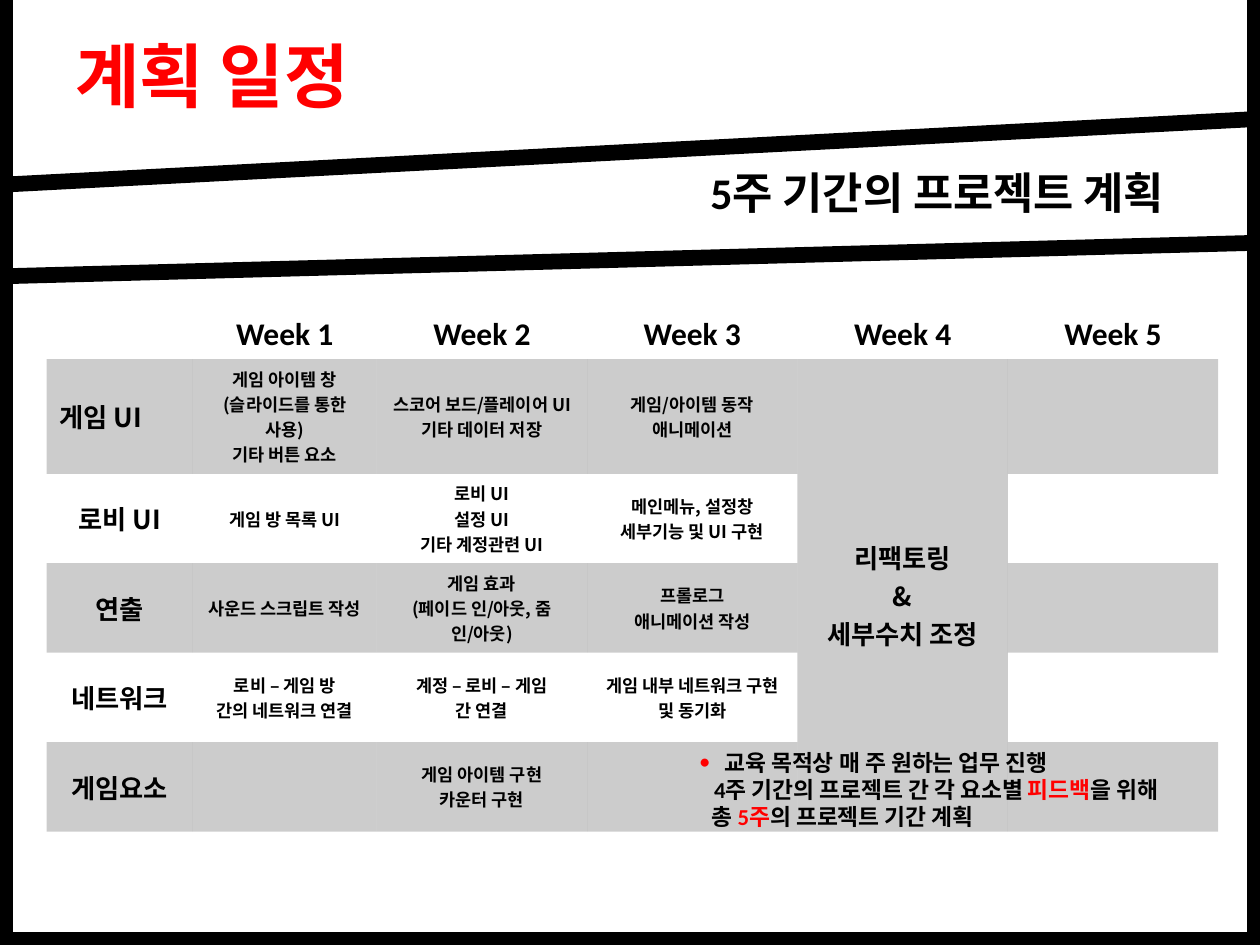
from lxml import etree
from pptx import Presentation
from pptx.dml.color import RGBColor
from pptx.enum.shapes import MSO_CONNECTOR, MSO_SHAPE
from pptx.enum.text import MSO_ANCHOR, MSO_AUTO_SIZE, PP_ALIGN
from pptx.oxml.ns import qn
from pptx.util import Inches, Pt

STRAIGHT = MSO_CONNECTOR.STRAIGHT
RECTANGLE = MSO_SHAPE.RECTANGLE
MIDDLE = MSO_ANCHOR.MIDDLE
FIT_SHAPE = MSO_AUTO_SIZE.SHAPE_TO_FIT_TEXT
LEFT, CENTER = PP_ALIGN.LEFT, PP_ALIGN.CENTER

BLACK, RED = "000000", "FF0000"
NO_GRID_STYLE = "{2D5ABB26-0587-4C30-8999-92F81FD0307C}"

# Content
TITLE = "계획 일정"
SUBTITLE = "5주 기간의 프로젝트 계획"
SCHEDULE = [
    ["", "Week 1", "Week 2", "Week 3", "Week 4", "Week 5"],
    ["게임 UI", "게임 아이템 창\n(슬라이드를 통한 사용)\n기타 버튼 요소",
     "스코어 보드/플레이어 UI\n기타 데이터 저장", "게임/아이템 동작 애니메이션",
     "리팩토링\n&\n세부수치 조정", ""],
    ["로비 UI", "게임 방 목록 UI", "로비 UI\n설정 UI\n기타 계정관련 UI",
     "메인메뉴, 설정창 세부기능 및 UI 구현", "", ""],
    ["연출", "사운드 스크립트 작성", "게임 효과\n(페이드 인/아웃, 줌 인/아웃)",
     "프롤로그\n애니메이션 작성", "", ""],
    ["네트워크", "로비 – 게임 방\n간의 네트워크 연결", "계정 – 로비 – 게임\n간 연결",
     "게임 내부 네트워크 구현 및 동기화", "", ""],
    ["게임요소", "", "게임 아이템 구현\n카운터 구현", "", "", ""],
]
COLUMN_WIDTHS = [1.16, 1.46] + [1.67] * 4
ROW_HEIGHTS = [0.4, 0.91] + [0.71] * 4
REFACTORING_COLUMN = 4

# Each note: left indent, bulleted, (text, colour) runs
NOTES = [
    (0.2, True, [("교육 목적상 매 주 원하는 업무 진행", BLACK)]),
    (0.12, False, [("4주 기간의 프로젝트 간 각 요소별 ", BLACK), ("피드백", RED), ("을 위해", BLACK)]),
    (0.1, False, [("총 ", BLACK), ("5주", RED), ("의 프로젝트 기간 계획", BLACK)]),
]

# Left, top, right, bottom of the slanted bands
BANDS = [(-0.25, 1.48, 10.25, 0.93), (-0.25, 2.2, 10.25, 1.92)]


def rgb(color):
    return RGBColor.from_string(color)


def style_font(font, name, size, color=None):
    font.name, font.size, font.bold = name, Pt(size), True
    if color:
        font.color.rgb = rgb(color)


def add_text_frame(slide, left, top, width, height):
    box = slide.shapes.add_textbox(Inches(left), Inches(top), Inches(width), Inches(height))
    frame = box.text_frame
    frame.word_wrap = False
    frame.auto_size = FIT_SHAPE
    return frame


def add_heading(slide, text, position, font_name, size, color):
    paragraph = add_text_frame(slide, *position).paragraphs[0]
    paragraph.text = text
    style_font(paragraph.font, font_name, size, color)


def add_band(slide, left, top, right, bottom):
    band = slide.shapes.add_connector(
        STRAIGHT, Inches(left), Inches(top), Inches(right), Inches(bottom))
    band.line.color.rgb = rgb(BLACK)
    band.line.width = Pt(9)
    etree.SubElement(band._element.spPr, qn("a:effectLst"))


def shade(cell):
    cell.fill.solid()
    cell.fill.fore_color.rgb = rgb(BLACK)
    color = cell._tc.tcPr.find(".//" + qn("a:srgbClr"))
    etree.SubElement(color, qn("a:alpha")).set("val", "20000")


def cell_font(row, column):
    if row == 0:
        return "Calibri", 18
    return "Noto Sans CJK KR", 15 if column in (0, REFACTORING_COLUMN) else 10


def add_schedule(slide):
    table = slide.shapes.add_table(
        len(ROW_HEIGHTS), len(COLUMN_WIDTHS), Inches(0.37), Inches(2.45),
        Inches(sum(COLUMN_WIDTHS)), Inches(sum(ROW_HEIGHTS))).table
    table.first_row = table.horz_banding = False
    table._tbl.tblPr.find(qn("a:tableStyleId")).text = NO_GRID_STYLE
    for column, width in zip(table.columns, COLUMN_WIDTHS):
        column.width = Inches(width)
    for row, height in zip(table.rows, ROW_HEIGHTS):
        row.height = Inches(height)
    table.cell(1, REFACTORING_COLUMN).merge(table.cell(5, REFACTORING_COLUMN))

    for row, texts in enumerate(SCHEDULE):
        for column, text in enumerate(texts):
            cell = table.cell(row, column)
            if cell.is_spanned:
                continue
            cell.vertical_anchor = MIDDLE
            if row % 2:
                shade(cell)
            else:
                cell.fill.background()
            if not text:
                continue
            cell.text = text
            for paragraph in cell.text_frame.paragraphs:
                paragraph.alignment = LEFT if (row, column) == (1, 0) else CENTER
                style_font(paragraph.font, *cell_font(row, column), BLACK)


def add_notes(slide):
    frame = add_text_frame(slide, 5.45, 5.89, 4.18, 0.76)
    for index, (indent, bulleted, runs) in enumerate(NOTES):
        paragraph = frame.add_paragraph() if index else frame.paragraphs[0]
        properties = paragraph._p.get_or_add_pPr()
        properties.set("marL", str(Inches(indent)))
        if bulleted:
            properties.set("indent", str(-Inches(indent)))
            bullet_color = etree.SubElement(properties, qn("a:buClr"))
            etree.SubElement(bullet_color, qn("a:srgbClr")).set("val", RED)
            etree.SubElement(properties, qn("a:buFont")).set("typeface", "Calibri")
            etree.SubElement(properties, qn("a:buChar")).set("char", "•")
        style_font(paragraph.font, "Calibri", 13)
        for text, color in runs:
            run = paragraph.add_run()
            run.text = text
            run.font.color.rgb = rgb(color)


def main():
    presentation = Presentation()
    presentation.slide_width, presentation.slide_height = Inches(10), Inches(7.5)
    slide = presentation.slides.add_slide(presentation.slide_layouts[6])

    # Frame around the slide
    border = slide.shapes.add_shape(
        RECTANGLE, Inches(0), Inches(-0.28), Inches(10), Inches(7.78))
    border.shadow.inherit = False
    border.fill.background()
    border.line.color.rgb = rgb(BLACK)
    border.line.width = Pt(15)

    # Headings and bands
    for band in BANDS:
        add_band(slide, *band)
    add_heading(slide, TITLE, (0.5, 0.21, 2.64, 0.77), "Arial", 40, RED)
    add_heading(slide, SUBTITLE, (5.54, 1.27, 4.12, 0.52), "Calibri", 25, BLACK)

    # Schedule with the notes over its last row
    add_schedule(slide)
    add_notes(slide)
    presentation.save("out.pptx")


if __name__ == "__main__":
    main()
